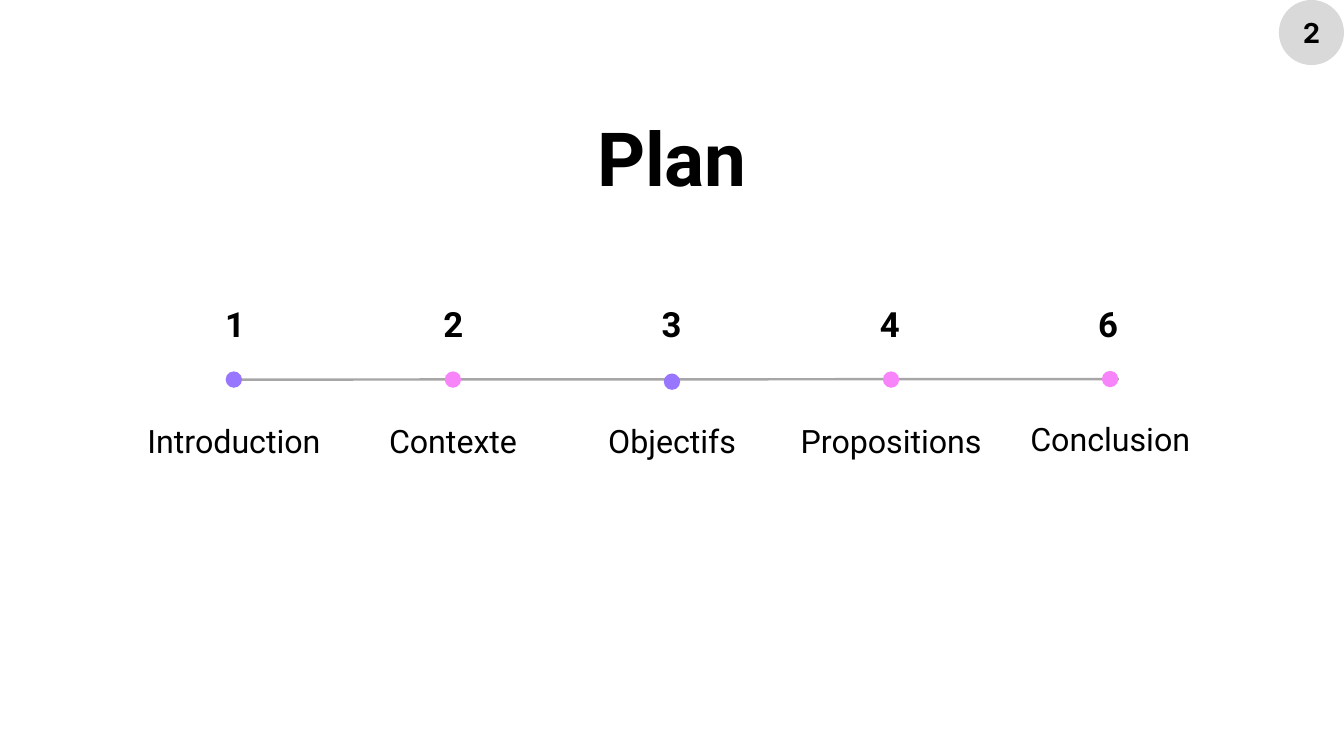
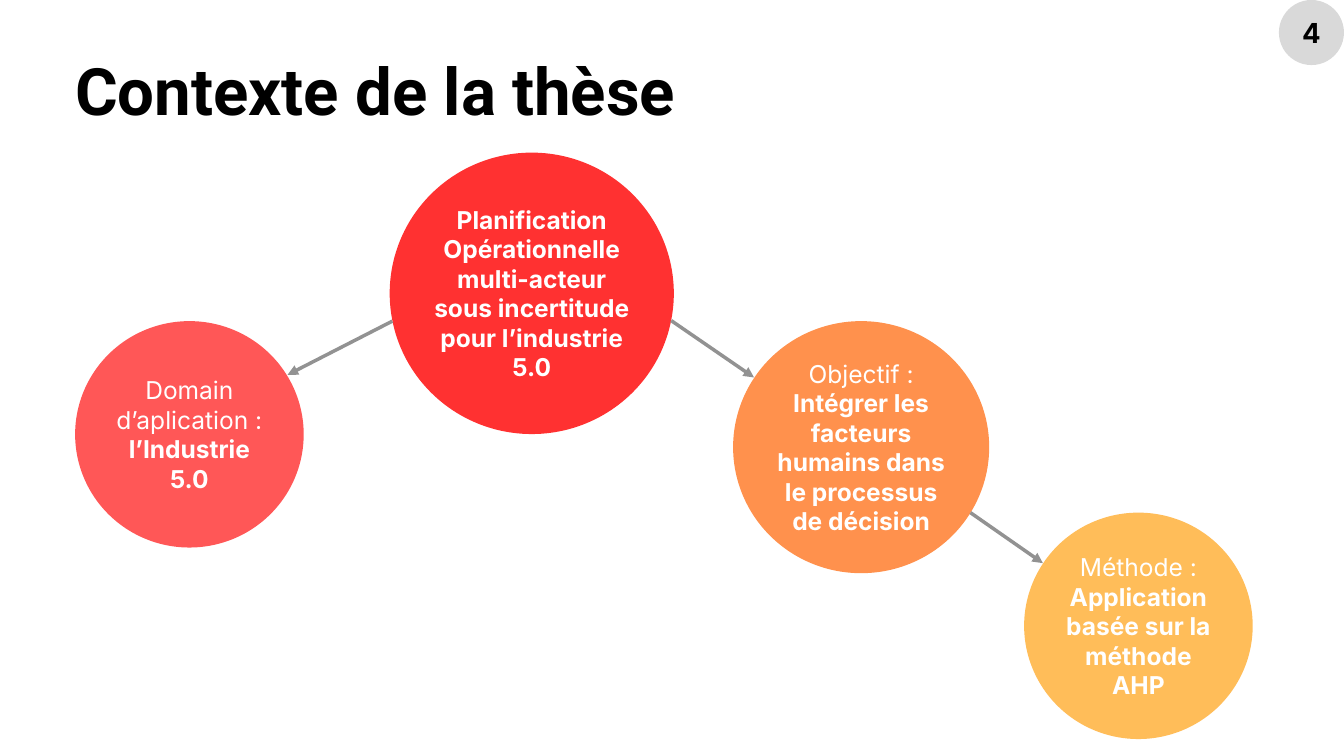
from dataclasses import dataclass
from typing import NamedTuple

import lxml.etree
import pptx
import pptx.dml.color
import pptx.enum.shapes
import pptx.enum.text
import pptx.oxml.ns
import pptx.shapes.autoshape
import pptx.shapes.connector
import pptx.slide
import pptx.text.text
import pptx.util

Cm = pptx.util.Cm
Pt = pptx.util.Pt
RGBColor = pptx.dml.color.RGBColor
Align = pptx.enum.text.PP_ALIGN
Anchor = pptx.enum.text.MSO_ANCHOR
qn = pptx.oxml.ns.qn

BLACK = RGBColor(0x00, 0x00, 0x00)
WHITE = RGBColor(0xFF, 0xFF, 0xFF)
SILVER = RGBColor(0xD9, 0xD9, 0xD9)
GRAY = RGBColor(0x92, 0x92, 0x92)
PURPLE = RGBColor(0x99, 0x76, 0xFF)
PINK = RGBColor(0xF8, 0x84, 0xFA)
RED = RGBColor(0xFF, 0x31, 0x31)
CORAL = RGBColor(0xFF, 0x57, 0x57)
ORANGE = RGBColor(0xFF, 0x91, 0x4D)
AMBER = RGBColor(0xFF, 0xBD, 0x59)


class Box(NamedTuple):
    left: float
    top: float
    width: float
    height: float


class Style(NamedTuple):
    font: str
    size: float
    lead: float
    color: RGBColor
    bold: bool = False
    align: Align = Align.CENTER


class Part(NamedTuple):
    text: str
    bold: bool = True


@dataclass(frozen=True)
class Stop:
    number: str
    label: str
    color: RGBColor
    dot_y: float = 14.35
    label_top: float = 15.67


@dataclass(frozen=True)
class Disc:
    box: Box
    color: RGBColor
    lines: tuple[tuple[Part, ...], ...]


@dataclass(frozen=True)
class Arrow:
    tip: tuple[float, float]
    base: tuple[float, float]


PLAN_TITLE = Style("Roboto", 80, 1.2, BLACK, True)
THESIS_TITLE = Style("Roboto", 70, 1.2, BLACK, True, Align.LEFT)
NUMBER = Style("Roboto", 37.2, 1.4, BLACK, True)
LABEL = Style("Roboto", 34.5, 1.4, BLACK)
BADGE = Style("Inter", 29.5, 1.4, BLACK, True)
DISC = Style("Inter", 26.3, 1.2, WHITE)

STOPS = (
    Stop("1", "Introduction", PURPLE),
    Stop("2", "Contexte", PINK),
    Stop("3", "Objectifs", PURPLE, dot_y=14.43),
    Stop("4", "Propositions", PINK),
    Stop("6", "Conclusion", PINK, dot_y=14.33, label_top=15.62),
)
DOT = 0.62

DISCS = (
    Disc(Box(14.73, 5.77, 10.74, 10.64), RED,
         ((Part("Planification Opérationnelle multi-acteur sous incertitude "
                "pour l’industrie 5.0"),),)),
    Disc(Box(2.84, 12.14, 8.64, 8.56), CORAL,
         ((Part("Domain d’aplication :", False), Part(" l’Industrie 5.0")),)),
    Disc(Box(27.71, 12.14, 9.68, 9.53), ORANGE,
         ((Part("Objectif :", False),),
          (Part("Intégrer les facteurs humains dans le processus de décision"),))),
    Disc(Box(38.71, 19.38, 8.64, 8.56), AMBER,
         ((Part("Méthode :", False),),
          (Part("Application basée sur la méthode AHP"),))),
)

ARROWS = (
    Arrow((10.87, 14.17), (14.83, 12.14)),
    Arrow((28.5, 14.27), (25.37, 12.12)),
    Arrow((39.42, 21.29), (36.68, 19.38)),
)


def set_frame(frame: pptx.text.text.TextFrame, anchor: Anchor) -> None:
    frame.word_wrap = True
    frame.auto_size = pptx.enum.text.MSO_AUTO_SIZE.NONE
    frame.vertical_anchor = anchor
    frame.margin_left = frame.margin_right = 0
    frame.margin_top = frame.margin_bottom = 0


def format_line(line: pptx.text.text._Paragraph, style: Style) -> None:
    line.alignment = style.align
    line.line_spacing = Pt(round(style.size * style.lead, 1))
    line.space_before = line.space_after = Pt(0)
    for run in line.runs:
        run.font.name = style.font
        run.font.size = Pt(style.size)
        run.font.bold = style.bold
        run.font.color.rgb = style.color


def write(frame: pptx.text.text.TextFrame, text: str, style: Style,
          anchor: Anchor = Anchor.TOP) -> None:
    set_frame(frame, anchor)
    frame.text = text
    format_line(frame.paragraphs[0], style)


def add_text(slide: pptx.slide.Slide, box: Box, text: str, style: Style) -> None:
    shape = slide.shapes.add_textbox(*map(Cm, box))
    write(shape.text_frame, text, style)


def add_oval(slide: pptx.slide.Slide, box: Box,
             color: RGBColor) -> pptx.shapes.autoshape.Shape:
    oval = slide.shapes.add_shape(
        pptx.enum.shapes.MSO_SHAPE.OVAL, *map(Cm, box))
    oval.shadow.inherit = False
    oval.fill.solid()
    oval.fill.fore_color.rgb = color
    oval.line.fill.background()
    return oval


def add_line(slide: pptx.slide.Slide, start: tuple[float, float],
             end: tuple[float, float], color: RGBColor,
             width: float) -> pptx.shapes.connector.Connector:
    line = slide.shapes.add_connector(
        pptx.enum.shapes.MSO_CONNECTOR.STRAIGHT, *map(Cm, start + end))
    line.line.color.rgb = color
    line.line.width = Pt(width)
    lxml.etree.SubElement(line.element.spPr, qn("a:effectLst"))
    return line


def add_arrow(slide: pptx.slide.Slide, arrow: Arrow) -> None:
    line = add_line(slide, arrow.tip, arrow.base, GRAY, 3.75)
    stroke = line.element.spPr.find(qn("a:ln"))
    lxml.etree.SubElement(stroke, qn("a:headEnd"), type="triangle")


def add_disc(slide: pptx.slide.Slide, disc: Disc) -> None:
    frame = add_oval(slide, disc.box, disc.color).text_frame
    set_frame(frame, Anchor.MIDDLE)
    for index, parts in enumerate(disc.lines):
        line = frame.add_paragraph() if index else frame.paragraphs[0]
        for part in parts:
            line.add_run().text = part.text
        format_line(line, DISC)
        for run, part in zip(line.runs, parts):
            run.font.bold = part.bold


def add_slide(deck: pptx.presentation.Presentation, title: str, box: Box,
              style: Style, page: str) -> pptx.slide.Slide:
    slide = deck.slides.add_slide(deck.slide_layouts[5])
    head = slide.shapes.title
    head.left, head.top, head.width, head.height = map(Cm, box)
    write(head.text_frame, title, style)
    badge = add_oval(slide, Box(48.34, 0, 2.46, 2.46), SILVER)
    write(badge.text_frame, page, BADGE, Anchor.MIDDLE)
    badge.text_frame.margin_bottom = Cm(0.2)
    return slide


def draw_plan(deck: pptx.presentation.Presentation) -> None:
    slide = add_slide(deck, "Plan", Box(22.1, 4.24, 6.6, 3.43), PLAN_TITLE, "2")
    track = add_line(slide, (9.07, 14.35), (42.29, 14.33), BLACK, 2.65)
    tint = track.element.spPr.find(".//" + qn("a:srgbClr"))
    lxml.etree.SubElement(tint, qn("a:alpha"), val="35000")
    for index, stop in enumerate(STOPS):
        mid = 8.84 + 8.28 * index
        add_oval(slide, Box(mid - DOT / 2, stop.dot_y - DOT / 2, DOT, DOT),
                 stop.color)
        add_text(slide, Box(6.8 + 8.25 * index, 11.18, 4.17, 1.7),
                 stop.number, NUMBER)
        add_text(slide, Box(mid - 4.53, stop.label_top, 9.07, 1.57),
                 stop.label, LABEL)


def draw_thesis(deck: pptx.presentation.Presentation) -> None:
    slide = add_slide(deck, "Contexte de la thèse",
                      Box(2.84, 1.88, 24.84, 3.02), THESIS_TITLE, "4")
    for disc in DISCS:
        add_disc(slide, disc)
    for arrow in ARROWS:
        add_arrow(slide, arrow)


def main() -> None:
    deck = pptx.Presentation()
    deck.slide_width = Cm(50.8)
    deck.slide_height = Cm(28.58)
    draw_plan(deck)
    draw_thesis(deck)
    deck.save("out.pptx")


if __name__ == "__main__":
    main()
